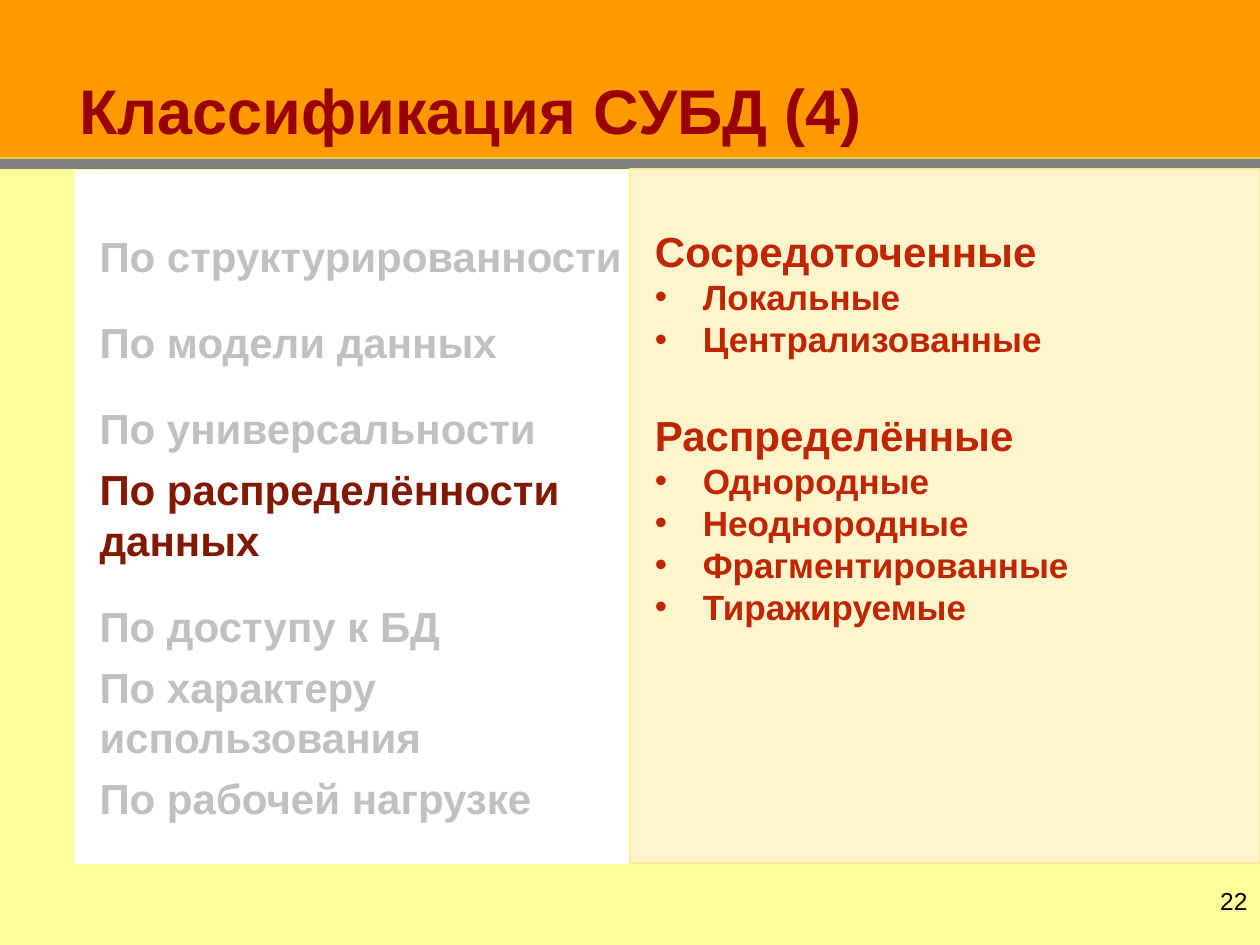
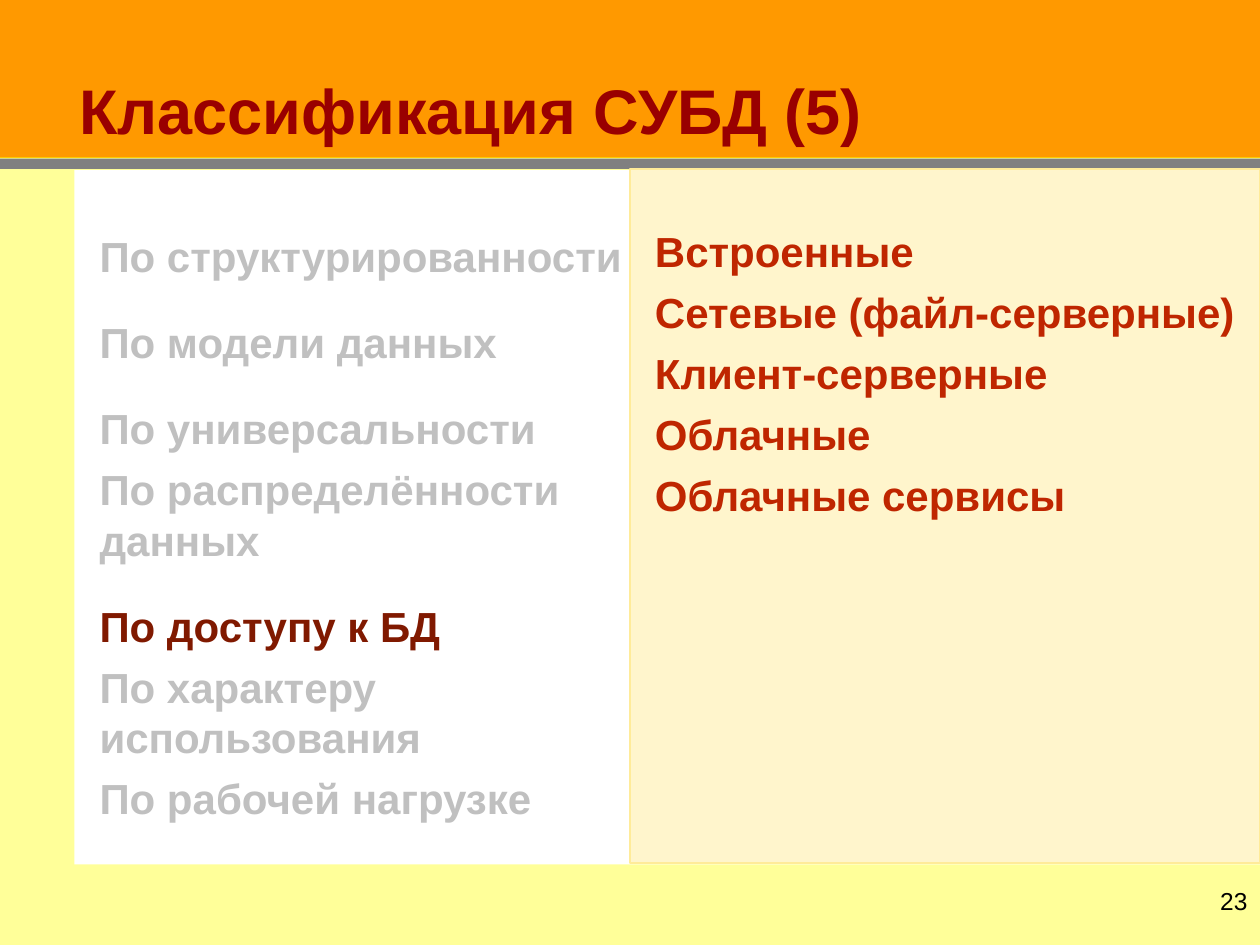
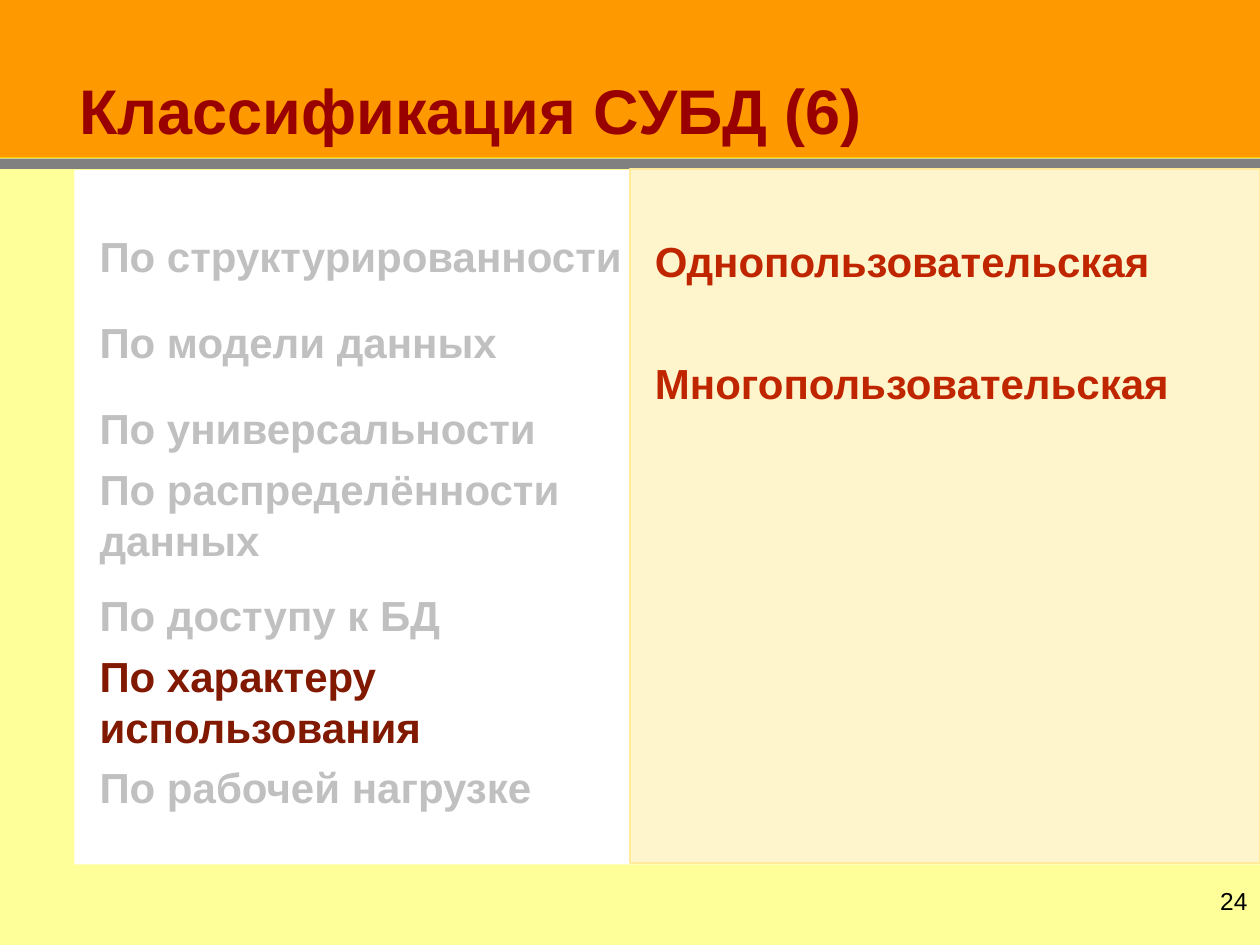
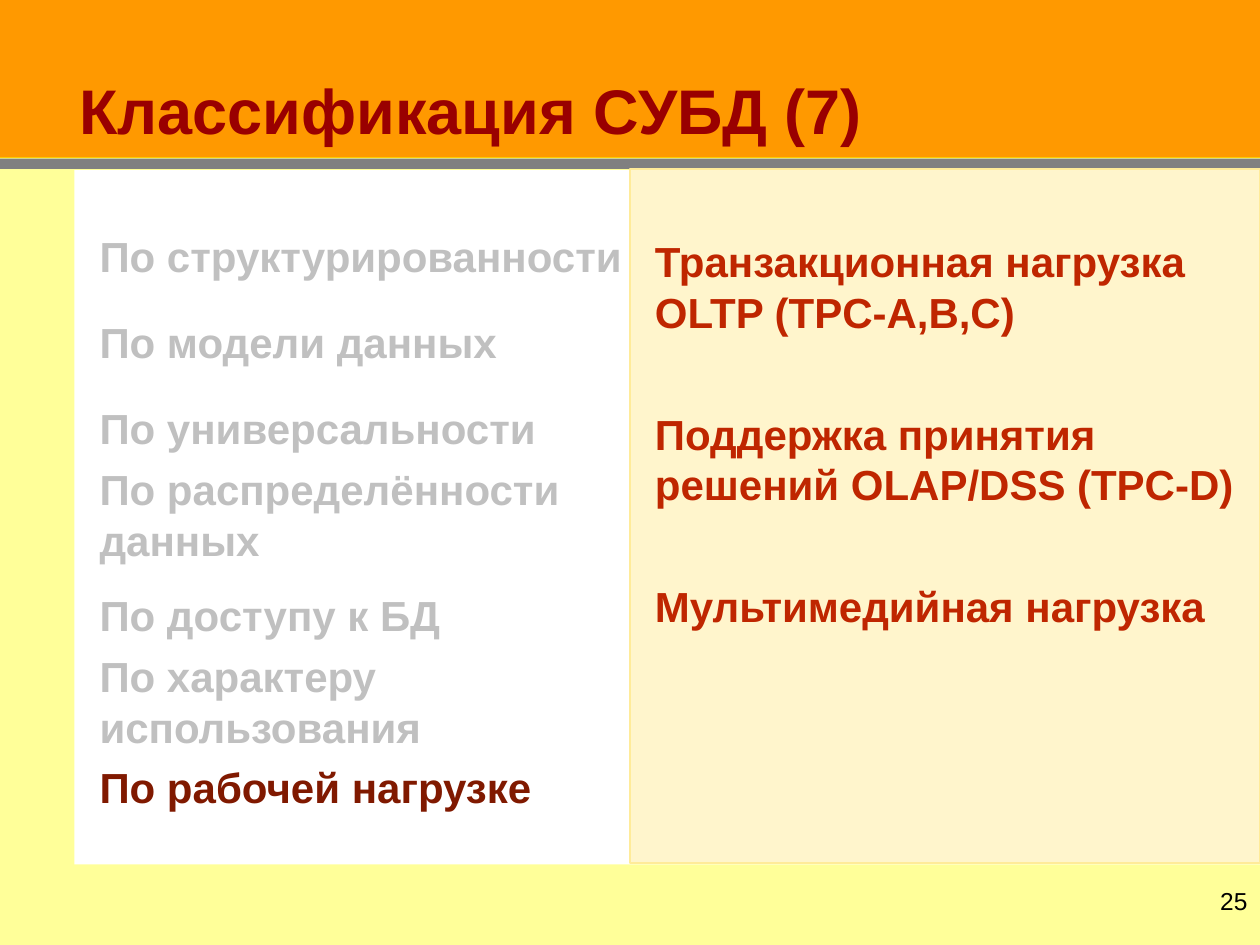
from dataclasses import dataclass

from lxml.etree import SubElement
from pptx import Presentation as new_presentation
from pptx.dml.color import RGBColor
from pptx.enum.shapes import MSO_CONNECTOR as Connector, MSO_SHAPE as Preset
from pptx.enum.text import MSO_ANCHOR as Anchor, MSO_AUTO_SIZE as AutoSize, PP_ALIGN as Align
from pptx.oxml.ns import qn
from pptx.util import Emu, Pt

EMU_PER_PX = 9144
FONT = "Arial"
FIRST_PAGE = 22
FIRST_PART = 4

ORANGE = "FF9900"
PALE_YELLOW = "FFFF99"
GRAY = "808080"
GOLD = "FFCC00"
BACKDROP = "B2B2B2"
WHITE = "FFFFFF"
BLACK = "000000"
TITLE_RED = "990000"
MUTED = "C0C0C0"
ACTIVE = "801900"
PANEL_FILL = "FFF5CC"
PANEL_LINE = "FFEB99"
PANEL_TEXT = "BF2600"


@dataclass(frozen=True)
class Box:
    left: int
    top: int
    width: int
    height: int

    def emu(self) -> tuple:
        return tuple(px(length) for length in (self.left, self.top, self.width, self.height))


@dataclass(frozen=True)
class Line:
    text: str
    color: str = PANEL_TEXT
    size: int = 24
    bold: bool = True
    margin: int = 10
    hanging: int = 0
    bullet: str = ""
    spacing: float = 1.0
    before: int = 0
    after: int = 0
    align: Align = Align.LEFT


@dataclass(frozen=True)
class Part:
    active: int
    gap_after_distribution: int
    panel_top: int
    lines: list


SLIDE = Box(0, 0, 1000, 750)
BANDS = [
    (Box(0, 0, 1000, 125), ORANGE),
    (Box(0, 125, 1000, 625), PALE_YELLOW),
    (Box(0, 126, 1000, 8), GRAY),
]
TITLE = Box(0, 6, 1000, 117)
BODY = Box(59, 135, 941, 551)
PANEL = Box(500, 134, 500, 551)
PAGE_NUMBER = Box(897, 698, 103, 52)


def px(length: int) -> Emu:
    return Emu(length * EMU_PER_PX)


def color(value: str) -> RGBColor:
    return RGBColor.from_string(value)


def bullet_line(text: str) -> Line:
    return Line(text, size=20, margin=48, hanging=38, bullet="•")


PARTS = [
    Part(3, 6, 45, [
        Line("Сосредоточенные"),
        *map(bullet_line, ["Локальные", "Централизованные"]),
        Line("Распределённые", before=28),
        *map(bullet_line, ["Однородные", "Неоднородные", "Фрагментированные", "Тиражируемые"]),
    ]),
    Part(4, 6, 45, [
        Line(text, after=6)
        for text in ["Встроенные", "Сетевые (файл-серверные)", "Клиент-серверные",
                     "Облачные", "Облачные сервисы"]
    ]),
    Part(5, 0, 53, [
        Line("Однопользовательская", after=6),
        Line("Многопользовательская", before=35, after=6),
    ]),
    Part(6, 0, 53, [
        Line("Транзакционная нагрузка OLTP (TPC-A,B,C)", after=6),
        Line("Поддержка принятия решений OLAP/DSS (TPC-D)", before=35, after=6),
        Line("Мультимедийная нагрузка", before=35, after=6),
    ]),
]


def criteria(part: Part) -> list:
    rows = [
        ("По структурированности", 1.0, 0, 6),
        ("По модели данных", 1.5, 0, 6),
        ("По универсальности", 1.5, 0, 6),
        ("По распределённости\vданных", 1.0, 0, part.gap_after_distribution),
        ("По доступу к БД", 1.5, 0, 6),
        ("По характеру\vиспользования", 1.0, 0, 0),
        ("По рабочей нагрузке", 1.0, 6, 0),
    ]
    return [
        Line(text, ACTIVE if index == part.active else MUTED,
             spacing=spacing, before=before, after=after)
        for index, (text, spacing, before, after) in enumerate(rows)
    ]


def write_lines(shape, lines: list, top: int = 5, anchor: Anchor = Anchor.TOP) -> None:
    frame = shape.text_frame
    frame.word_wrap = True
    frame.auto_size = AutoSize.NONE
    frame.vertical_anchor = anchor
    frame.margin_left = frame.margin_right = px(10)
    frame.margin_top, frame.margin_bottom = px(top), px(5)
    for index, line in enumerate(lines):
        paragraph = frame.add_paragraph() if index else frame.paragraphs[0]
        paragraph.text = line.text
        paragraph.alignment = line.align
        paragraph.line_spacing = line.spacing
        paragraph.space_before, paragraph.space_after = Pt(line.before), Pt(line.after)
        properties = paragraph._p.get_or_add_pPr()
        properties.set("marL", str(px(line.margin)))
        properties.set("indent", str(px(-line.hanging)))
        if line.bullet:
            SubElement(properties, qn("a:buFont"), typeface=FONT)
            SubElement(properties, qn("a:buChar"), char=line.bullet)
        else:
            SubElement(properties, qn("a:buNone"))
        font = paragraph.font
        font.name, font.size, font.bold = FONT, Pt(line.size), line.bold
        font.color.rgb = color(line.color)


def place(shape, box: Box, fill: str) -> None:
    shape.left, shape.top, shape.width, shape.height = box.emu()
    shape.fill.solid()
    shape.fill.fore_color.rgb = color(fill)


def add_rectangle(slide, box: Box, fill: str, outline: str = ""):
    shape = slide.shapes.add_shape(Preset.RECTANGLE, *box.emu())
    shape.shadow.inherit = False
    place(shape, box, fill)
    if outline:
        shape.line.color.rgb = color(outline)
        shape.line.width = Pt(1)
    else:
        shape.line.fill.background()
    return shape


def add_rule(slide, top: int):
    rule = slide.shapes.add_connector(Connector.STRAIGHT, 0, px(top), px(SLIDE.width), px(top))
    rule.line.color.rgb = color(GOLD)
    rule.line.width = Pt(1)
    SubElement(rule.element.spPr, qn("a:effectLst"))
    return rule


def decorate_layout(layout, slide) -> None:
    layout.background.fill.solid()
    layout.background.fill.fore_color.rgb = color(BACKDROP)
    decorations = [add_rectangle(slide, box, fill) for box, fill in BANDS]
    decorations.append(add_rule(slide, 125))
    for index, shape in enumerate(decorations):
        shape.element.xpath(".//p:cNvPr")[0].set("id", str(100 + index))
        layout.shapes.element.insert(2 + index, shape.element)


def fill_slide(slide, part: Part, index: int) -> None:
    title, body = slide.shapes.title, slide.placeholders[1]
    place(title, TITLE, ORANGE)
    heading = Line(f"Классификация СУБД ({FIRST_PART + index})", TITLE_RED,
                   size=36, margin=53, spacing=0.9)
    write_lines(title, [heading], anchor=Anchor.BOTTOM)

    place(body, BODY, WHITE)
    write_lines(body, criteria(part), top=48)

    page_number = slide.shapes.add_textbox(*PAGE_NUMBER.emu())
    number = Line(str(FIRST_PAGE + index), BLACK, size=14, bold=False, margin=0, align=Align.RIGHT)
    write_lines(page_number, [number])

    panel = add_rectangle(slide, PANEL, PANEL_FILL, PANEL_LINE)
    write_lines(panel, part.lines, top=part.panel_top)


def main() -> None:
    presentation = new_presentation()
    presentation.slide_width, presentation.slide_height = px(SLIDE.width), px(SLIDE.height)
    layout = presentation.slide_layouts[1]
    slides = [presentation.slides.add_slide(layout) for _ in PARTS]
    decorate_layout(layout, slides[0])
    for index, (slide, part) in enumerate(zip(slides, PARTS)):
        fill_slide(slide, part, index)
    presentation.save("out.pptx")


if __name__ == "__main__":
    main()
